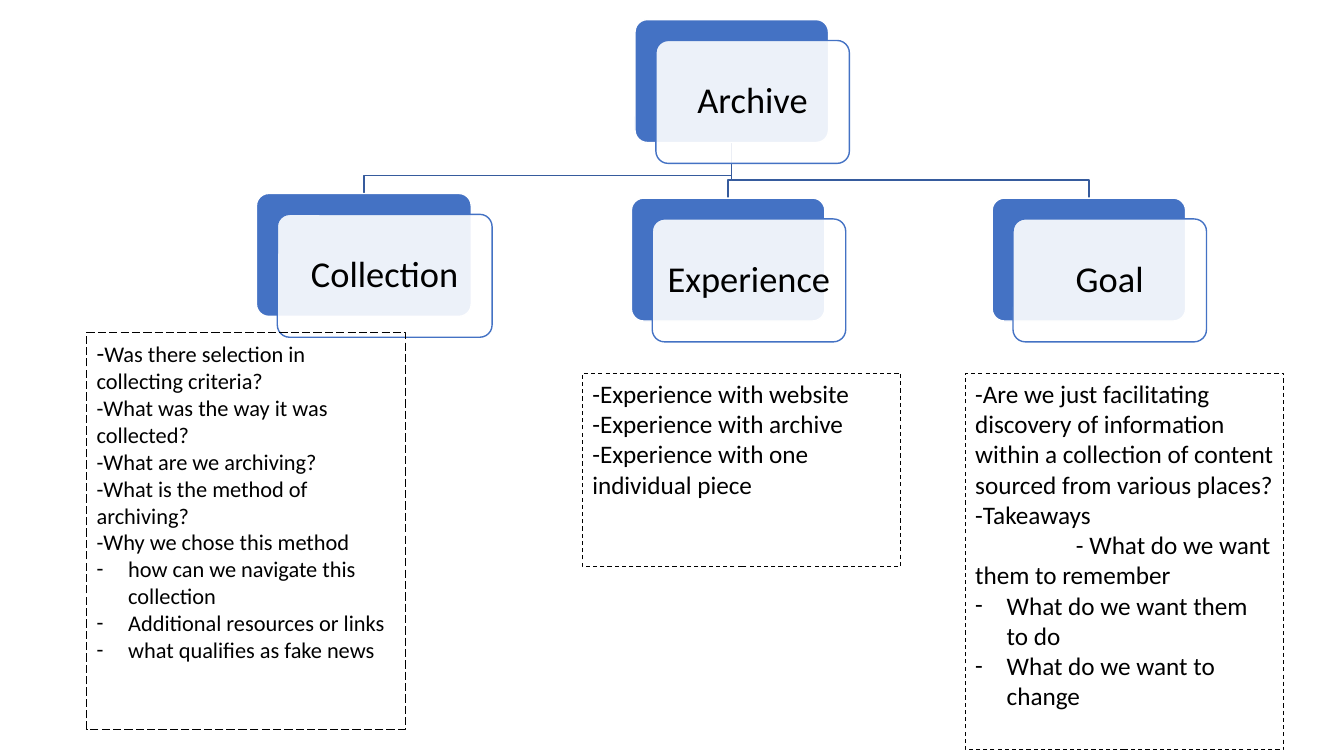
from lxml import etree
from pptx import Presentation
from pptx.dml.color import RGBColor
from pptx.enum.dml import MSO_LINE
from pptx.enum.shapes import MSO_SHAPE
from pptx.enum.text import MSO_ANCHOR, PP_ALIGN
from pptx.oxml.ns import qn
from pptx.util import Pt

BLUE = RGBColor(0x44, 0x72, 0xC4)
DARK_BLUE = RGBColor(0x36, 0x5B, 0x9D)
WHITE = RGBColor(0xFF, 0xFF, 0xFF)
BLACK = RGBColor(0, 0, 0)
ROUNDED, RECTANGLE = MSO_SHAPE.ROUNDED_RECTANGLE, MSO_SHAPE.RECTANGLE
DASH, LONG_DASH = MSO_LINE.DASH, MSO_LINE.LONG_DASH
MIDDLE, TOP = MSO_ANCHOR.MIDDLE, MSO_ANCHOR.TOP
CENTER, LEFT = PP_ALIGN.CENTER, PP_ALIGN.LEFT
FONT = "Calibri"

# Cards: label, left, top, width
ROOT = ("Archive", 453.6, 14, 138.2)
BRANCHES = [
    ("Goal", 708.7, 141.5, 138.2),
    ("Experience", 451, 141.5, 138.2),
    ("Collection", 183.2, 138.2, 153.4),
]
CARD_HEIGHT = 87.8
FRONT_OFFSET = 14.9
BEND_GAP = 12.8

# Paragraph styles
PLAIN, INDENTED, BULLET = "plain", "indented", "bullet"

# Panels: left, top, height, dash, paragraphs of (style, runs of (text, size))
PANEL_WIDTH = 227.5
PANELS = [
    (62, 237.3, 283.7, LONG_DASH, [
        (PLAIN, [("-", 18), ("Was there selection in collecting criteria?", 16)]),
        (PLAIN, [("-What was the way it was collected?", 16)]),
        (PLAIN, [("-What are we archiving?", 16)]),
        (PLAIN, [("-What is the method of archiving?", 16)]),
        (PLAIN, [("-Why we chose this method", 16)]),
        (BULLET, [("how can we navigate this collection", 16)]),
        (BULLET, [("Additional resources or links", 16)]),
        (BULLET, [("what qualifies as fake news", 16)]),
    ]),
    (416, 266.6, 138, DASH, [
        (PLAIN, [("-Experience with website", 18)]),
        (PLAIN, [("-Experience with archive", 18)]),
        (PLAIN, [("-Experience with one individual piece", 18)]),
    ]),
    (689.5, 266.6, 269, DASH, [
        (PLAIN, [("-Are we just facilitating discovery of information within a "
                  "collection of content sourced from various places?", 18)]),
        (PLAIN, [("-Takeaways", 18)]),
        (INDENTED, [("- What do we want them to remember", 18)]),
        (BULLET, [("What do we want them to do", 18)]),
        (BULLET, [("What do we want to change", 18)]),
    ]),
]


def add_span(para, text, size):
    span = para.add_run()
    span.text = text
    span.font.size = Pt(size)
    span.font.name = FONT
    span.font.color.rgb = BLACK


def add_box(page, kind, left, top, width, height, fill, line, weight):
    box = page.shapes.add_shape(kind, Pt(left), Pt(top), Pt(width), Pt(height))
    box.shadow.inherit = False
    if fill is None:
        box.fill.background()
    else:
        box.fill.solid()
        box.fill.fore_color.rgb = fill
    box.line.color.rgb = line
    box.line.width = Pt(weight)
    return box


def add_card(page, label, left, top, width):
    """Add a blue card with a translucent labelled card in front of it."""
    back = add_box(page, ROUNDED, left, top, width, CARD_HEIGHT, BLUE, WHITE, 1)
    front = add_box(page, ROUNDED, left + FRONT_OFFSET, top + FRONT_OFFSET,
                    width, CARD_HEIGHT, WHITE, BLUE, 1)
    for card in (back, front):
        card.adjustments[0] = 0.1
    color = front._element.spPr.find(qn("a:solidFill"))[0]
    etree.SubElement(color, qn("a:alpha"), val="90000")

    frame = front.text_frame
    frame.word_wrap = True
    frame.vertical_anchor = MIDDLE
    frame.margin_left = frame.margin_right = Pt(7)
    para = frame.paragraphs[0]
    para.alignment = CENTER
    para.line_spacing = 0.9
    add_span(para, label, 26)


def add_branch_line(page, parent, child):
    """Draw a bent line from the parent's bottom centre to the child's top centre."""
    _, parent_left, parent_top, parent_width = parent
    _, child_left, child_top, child_width = child
    start_x = parent_left + parent_width / 2
    end_x = child_left + child_width / 2
    bend_y = child_top - BEND_GAP
    builder = page.shapes.build_freeform(Pt(start_x), Pt(parent_top + CARD_HEIGHT))
    builder.add_line_segments(
        [(Pt(start_x), Pt(bend_y)), (Pt(end_x), Pt(bend_y)), (Pt(end_x), Pt(child_top))],
        close=False)
    branch = builder.convert_to_shape()
    branch.shadow.inherit = False
    branch.fill.background()
    branch.line.color.rgb = DARK_BLUE
    branch.line.width = Pt(1)


def style_para(para, style):
    para.alignment = LEFT
    props = para._p.get_or_add_pPr()
    if style == INDENTED:
        props.set("marL", "0")
        props.set("indent", str(Pt(72)))
    elif style == BULLET:
        props.set("marL", str(Pt(22.5)))
        props.set("indent", str(-Pt(22.5)))
        etree.SubElement(props, qn("a:buFont"), typeface=FONT)
        etree.SubElement(props, qn("a:buChar"), char="-")


def add_panel(page, left, top, height, dash, paragraphs):
    panel = add_box(page, RECTANGLE, left, top, PANEL_WIDTH, height, None, BLACK, 0.75)
    panel.line.dash_style = dash
    frame = panel.text_frame
    frame.word_wrap = True
    frame.vertical_anchor = TOP
    for index, (style, spans) in enumerate(paragraphs):
        para = frame.add_paragraph() if index else frame.paragraphs[0]
        style_para(para, style)
        for text, size in spans:
            add_span(para, text, size)


def main():
    deck = Presentation()
    deck.slide_width, deck.slide_height = Pt(960), Pt(540)
    page = deck.slides.add_slide(deck.slide_layouts.get_by_name("Blank"))
    for branch in BRANCHES:
        add_branch_line(page, ROOT, branch)
    for card in [ROOT, *BRANCHES]:
        add_card(page, *card)
    for panel in PANELS:
        add_panel(page, *panel)
    deck.save("out.pptx")


if __name__ == "__main__":
    main()
